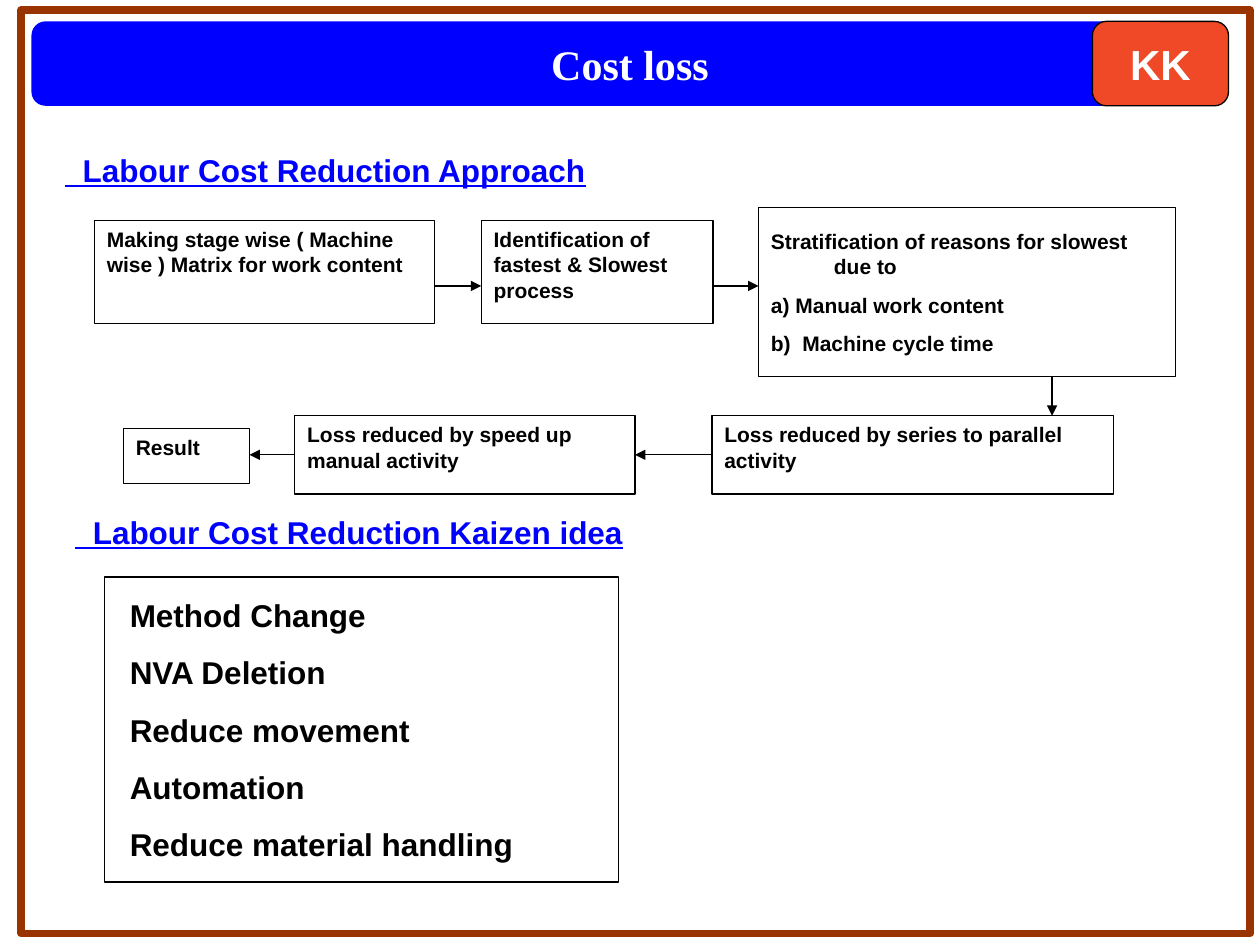
from pptx import Presentation
from pptx.dml.color import RGBColor
from pptx.enum.shapes import MSO_CONNECTOR, MSO_SHAPE
from pptx.enum.text import MSO_ANCHOR, PP_ALIGN
from pptx.oxml.ns import qn
from pptx.util import Inches, Pt
from lxml import etree

RECT, ROUND = MSO_SHAPE.RECTANGLE, MSO_SHAPE.ROUNDED_RECTANGLE
LINE = MSO_CONNECTOR.STRAIGHT
TOP, MIDDLE = MSO_ANCHOR.TOP, MSO_ANCHOR.MIDDLE
LEFT, CENTER = PP_ALIGN.LEFT, PP_ALIGN.CENTER

BLACK, WHITE, BLUE = "000000", "FFFFFF", "0000FF"
BROWN, ORANGE = "993300", "F04928"

BODY = {"name": "Arial", "size": Pt(12), "bold": True}
LIST = {**BODY, "size": Pt(18)}
HEAD = {**LIST, "underline": True}
BADGE = {**BODY, "size": Pt(24)}
TITLE = {**BADGE, "name": "Times New Roman"}


def color(code):
    return RGBColor.from_string(code)


def write(shape, lines, style, ink=BLACK, align=LEFT, anchor=TOP,
          gap=0, hang=0, pads=(0.1, 0.1), wrap=True):
    frame = shape.text_frame
    frame.word_wrap = wrap
    frame.vertical_anchor = anchor
    frame.margin_left, frame.margin_right = map(Inches, pads)
    frame.margin_top = frame.margin_bottom = Inches(0.05)
    for i, line in enumerate(lines):
        para = frame.paragraphs[0] if i == 0 else frame.add_paragraph()
        para.alignment = align
        if i:
            para.space_before = Pt(gap)
        if hang:
            props = para._p.get_or_add_pPr()
            props.set("marL", str(Inches(hang)))
            props.set("indent", str(-Inches(hang)))
        run = para.add_run()
        run.text = line
        for key, value in style.items():
            setattr(run.font, key, value)
        run.font.color.rgb = color(ink)


def panel(slide, box, kind=RECT, fill=None, line=BLACK, width=0.75):
    shape = slide.shapes.add_shape(kind, *map(Inches, box))
    shape.shadow.inherit = False
    if fill:
        shape.fill.solid()
        shape.fill.fore_color.rgb = color(fill)
    else:
        shape.fill.background()
    if line:
        shape.line.color.rgb = color(line)
        shape.line.width = Pt(width)
    else:
        shape.line.fill.background()
    return shape


def arrow(slide, x1, y1, x2, y2):
    link = slide.shapes.add_connector(LINE, *map(Inches, (x1, y1, x2, y2)))
    link.line.color.rgb = color(BLACK)
    link.line.width = Pt(0.75)
    etree.SubElement(link.line._get_or_add_ln(), qn("a:tailEnd"), type="triangle")
    etree.SubElement(link._element.spPr, qn("a:effectLst"))


def banner(slide, box):
    x, y, w, h = box
    side = 1.08
    bar = panel(slide, box, ROUND, BLUE, None)
    write(bar, ["Cost loss"], TITLE, WHITE, CENTER, MIDDLE, wrap=False)
    badge = panel(slide, (x + w - side, y, side, h), ROUND, ORANGE)
    write(badge, ["KK"], BADGE, WHITE, CENTER, MIDDLE, wrap=False)


def heading(slide, box, text):
    write(slide.shapes.add_textbox(*map(Inches, box)), [text], HEAD, BLUE)


def flow(slide, box):
    x, y, w, h = box
    # Upper row runs right, lower row runs back left
    steps = [
        (0, 0.1, 2.7, 0.82,
         "Making stage wise ( Machine wise ) Matrix for work content"),
        (3.07, 0.1, 1.84, 0.82, "Identification of fastest & Slowest process"),
        (4.9, 1.65, 3.19, 0.62, "Loss reduced by series to parallel activity"),
        (1.59, 1.65, 2.7, 0.62, "Loss reduced by speed up manual activity"),
        (0.23, 1.75, 1, 0.44, "Result"),
    ]
    for dx, dy, sw, sh, text in steps:
        write(panel(slide, (x + dx, y + dy, sw, sh)), [text], BODY)

    # Reasons box fills the right end of the upper row
    wide, tall = 3.31, 1.34
    reasons = panel(slide, (x + w - wide, y, wide, tall))
    write(reasons, ["Stratification of reasons for slowest due to",
                    "a) Manual work content", "b)  Machine cycle time"],
          BODY, anchor=MIDDLE, gap=7.5, hang=0.5)

    # Arrows between steps
    upper, lower, drop = y + 0.62, y + 1.96, x + 7.6
    for start, end, level in [(2.7, 3.07, upper), (4.9, 5.27, upper),
                              (4.9, 4.29, lower), (1.59, 1.23, lower)]:
        arrow(slide, x + start, level, x + end, level)
    arrow(slide, drop, y + tall, drop, y + 1.65)


def ideas(slide, box):
    write(panel(slide, box),
          ["Method Change", "NVA Deletion", "Reduce movement",
           "Automation", "Reduce material handling"],
          LIST, anchor=MIDDLE, gap=11.2, pads=(0.2, 0.25))


def main():
    deck = Presentation()
    deck.slide_width, deck.slide_height = Inches(10), Inches(7.5)
    slide = deck.slides.add_slide(deck.slide_layouts[6])

    # Page frame and title
    panel(slide, (0.17, 0.08, 9.75, 7.33), line=BROWN, width=4.5)
    banner(slide, (0.25, 0.17, 9.5, 0.67))

    # Approach
    heading(slide, (0.42, 1.15, 7.33, 0.4), "  Labour Cost Reduction Approach")
    flow(slide, (0.75, 1.65, 8.58, 2.27))

    # Kaizen ideas
    heading(slide, (0.5, 4.02, 7.33, 0.4), "  Labour Cost Reduction Kaizen idea")
    ideas(slide, (0.83, 4.58, 4.08, 2.42))

    deck.save("out.pptx")


if __name__ == "__main__":
    main()
